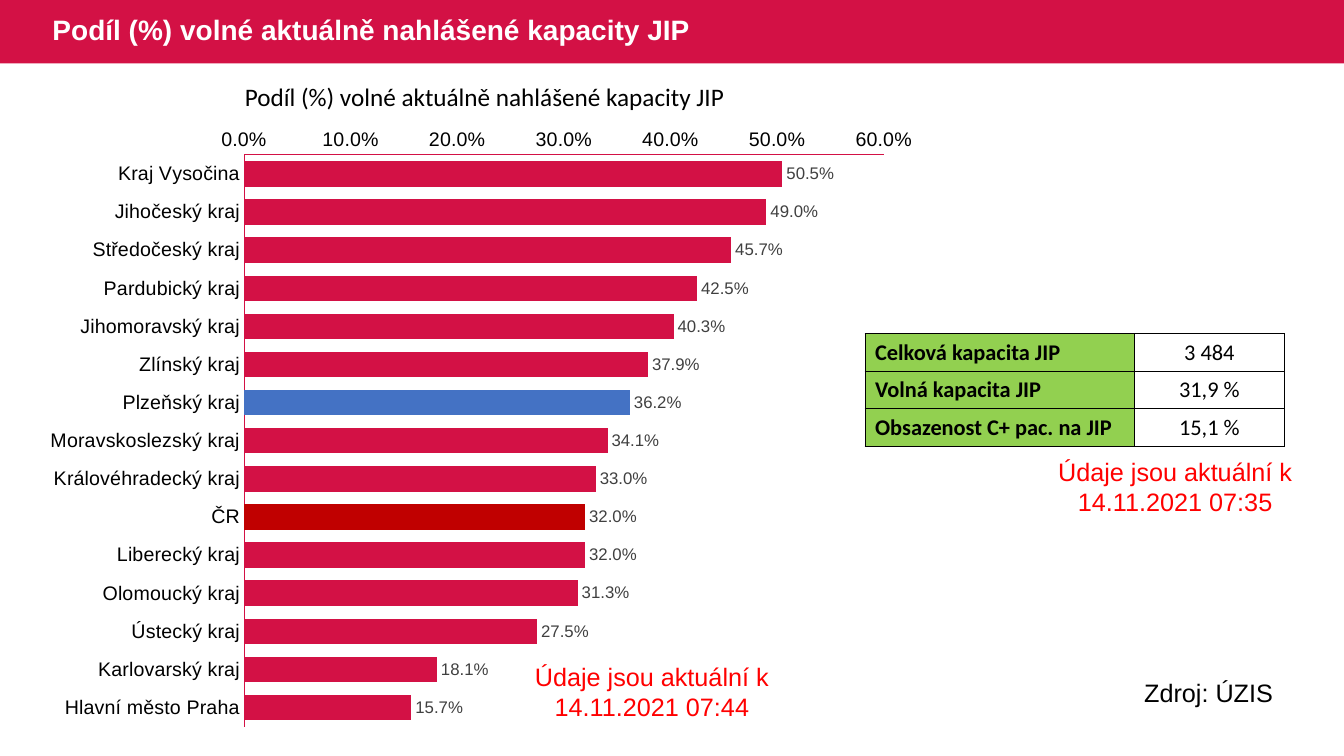
from dataclasses import dataclass

from lxml.etree import SubElement
from pptx import Presentation
from pptx.chart.data import CategoryChartData
from pptx.dml.color import RGBColor
from pptx.enum.chart import XL_CHART_TYPE as ChartType
from pptx.enum.chart import XL_LABEL_POSITION as LabelPosition
from pptx.enum.chart import XL_TICK_MARK as TickMark
from pptx.enum.shapes import MSO_SHAPE as Shape
from pptx.enum.text import MSO_ANCHOR as Anchor
from pptx.enum.text import PP_ALIGN as Align
from pptx.oxml.ns import qn
from pptx.slide import Slide
from pptx.util import Inches, Pt

CRIMSON = RGBColor(0xD3, 0x11, 0x45)
DARK_RED = RGBColor(0xC0, 0x00, 0x00)
BLUE = RGBColor(0x44, 0x72, 0xC4)
GREEN = RGBColor(0x92, 0xD0, 0x50)
RED = RGBColor(0xFF, 0x00, 0x00)
GREY = RGBColor(0x40, 0x40, 0x40)
BLACK = RGBColor(0x00, 0x00, 0x00)
WHITE = RGBColor(0xFF, 0xFF, 0xFF)

HEADING = "Podíl (%) volné aktuálně nahlášené kapacity JIP"


@dataclass
class Region:
    name: str
    share: float
    color: RGBColor = CRIMSON


@dataclass
class Note:
    text: str
    left: float
    top: float
    width: float
    height: float
    color: RGBColor = BLACK
    font: str = "Arial"
    align: Align = Align.LEFT
    wrap: bool = True


@dataclass
class Indicator:
    label: str
    value: str


REGIONS = [
    Region("Kraj Vysočina", 0.505),
    Region("Jihočeský kraj", 0.49),
    Region("Středočeský kraj", 0.457),
    Region("Pardubický kraj", 0.425),
    Region("Jihomoravský kraj", 0.403),
    Region("Zlínský kraj", 0.379),
    Region("Plzeňský kraj", 0.362, BLUE),
    Region("Moravskoslezský kraj", 0.341),
    Region("Královéhradecký kraj", 0.33),
    Region("ČR", 0.32, DARK_RED),
    Region("Liberecký kraj", 0.32),
    Region("Olomoucký kraj", 0.313),
    Region("Ústecký kraj", 0.275),
    Region("Karlovarský kraj", 0.181),
    Region("Hlavní město Praha", 0.157),
]
NOTES = [
    Note("Údaje jsou aktuální k 14.11.2021 07:44", 5.19, 6.51, 2.55, 0.71, RED, align=Align.CENTER),
    Note("Údaje jsou aktuální k 14.11.2021 07:35", 10.38, 4.48, 2.55, 0.71, RED, align=Align.CENTER),
    Note("Zdroj: ÚZIS", 11.25, 6.67, 1.98, 0.4),
    Note(HEADING, 2.33, 0.76, 5.13, 0.4, font="Calibri", wrap=False),
]
INDICATORS = [
    Indicator("Celková kapacita JIP", "3 484"),
    Indicator("Volná kapacita JIP", "31,9 %"),
    Indicator("Obsazenost C+ pac. na JIP", "15,1 %"),
]


def style_font(font, size: float, color: RGBColor, name: str = "Arial", bold: bool = False) -> None:
    font.size = Pt(size)
    font.name = name
    font.bold = bold
    font.color.rgb = color


def add_header(page: Slide) -> None:
    bar = page.shapes.add_shape(Shape.RECTANGLE, 0, 0, Inches(13.33), Inches(0.63))
    bar.shadow.inherit = False
    bar.fill.solid()
    bar.fill.fore_color.rgb = CRIMSON
    bar.line.fill.background()
    title = page.shapes.title
    title.element.addprevious(bar.element)
    title.left, title.top = Inches(0.42), Inches(0)
    title.width, title.height = Inches(11.56), Inches(0.63)
    title.text_frame.vertical_anchor = Anchor.MIDDLE
    para = title.text_frame.paragraphs[0]
    para.alignment = Align.LEFT
    para.line_spacing = 0.9
    span = para.add_run()
    span.text = HEADING
    style_font(span.font, 20, WHITE, bold=True)


def add_note(page: Slide, note: Note) -> None:
    box = page.shapes.add_textbox(
        Inches(note.left), Inches(note.top), Inches(note.width), Inches(note.height))
    box.text_frame.word_wrap = note.wrap
    para = box.text_frame.paragraphs[0]
    para.alignment = note.align
    span = para.add_run()
    span.text = note.text
    style_font(span.font, 18, note.color, note.font)


def add_borders(cell) -> None:
    """Outline the cell; call before setting its fill, which must follow the lines."""
    properties = cell._tc.get_or_add_tcPr()
    for side in ("a:lnL", "a:lnR", "a:lnT", "a:lnB"):
        line = SubElement(properties, qn(side), w=str(Pt(0.75)))
        fill = SubElement(line, qn("a:solidFill"))
        SubElement(fill, qn("a:srgbClr"), val=str(BLACK))


def add_indicators(page: Slide) -> None:
    row_height = Inches(0.37)
    table = page.shapes.add_table(
        len(INDICATORS), 2, Inches(8.58), Inches(3.31),
        Inches(4.16), row_height * len(INDICATORS)).table
    table.first_row = table.horz_banding = False
    table.columns[0].width, table.columns[1].width = Inches(2.67), Inches(1.49)
    for row, indicator in enumerate(INDICATORS):
        table.rows[row].height = row_height
        for column, text in enumerate((indicator.label, indicator.value)):
            is_label = column == 0
            cell = table.cell(row, column)
            add_borders(cell)
            if is_label:
                cell.fill.solid()
                cell.fill.fore_color.rgb = GREEN
            else:
                cell.fill.background()
            cell.vertical_anchor = Anchor.TOP if is_label else Anchor.MIDDLE
            para = cell.text_frame.paragraphs[0]
            para.alignment = Align.LEFT if is_label else Align.CENTER
            span = para.add_run()
            span.text = text
            style_font(span.font, 16, BLACK, "Calibri", is_label)


def fix_plot_area(chart, left: float, top: float, width: float, height: float) -> None:
    """Pin the inner plot area, in fractions of the chart."""
    plot_area = chart.element.find(".//" + qn("c:plotArea"))
    layout = plot_area.find(qn("c:layout"))
    if layout is None:
        layout = SubElement(plot_area, qn("c:layout"))
        plot_area.insert(0, layout)
    manual = SubElement(layout, qn("c:manualLayout"))
    settings = {"layoutTarget": "inner", "xMode": "edge", "yMode": "edge",
                "x": left, "y": top, "w": width, "h": height}
    for name, value in settings.items():
        SubElement(manual, qn(f"c:{name}"), val=str(value))


def add_region_chart(page: Slide) -> None:
    data = CategoryChartData(number_format="0.0%")
    data.categories = [region.name for region in REGIONS]
    data.add_series("Series 1", [region.share for region in REGIONS])
    chart = page.shapes.add_chart(
        ChartType.BAR_CLUSTERED, Inches(0.32), Inches(1.16), Inches(8.9), Inches(6.18), data).chart
    chart.has_legend = chart.has_title = False
    style_font(chart.font, 10, BLACK)
    fix_plot_area(chart, 0.236, 0.061, 0.713, 0.918)

    for axis in (chart.category_axis, chart.value_axis):
        axis.has_major_gridlines = False
        axis.major_tick_mark = axis.minor_tick_mark = TickMark.NONE
        axis.format.line.color.rgb = CRIMSON
        axis.format.line.width = Pt(0.75)
        style_font(axis.tick_labels.font, 14, BLACK)
    chart.category_axis.reverse_order = True
    scale = chart.value_axis
    scale.minimum_scale, scale.maximum_scale, scale.major_unit = 0, 0.6, 0.1
    scale.tick_labels.number_format = "0.0%"
    scale.tick_labels.number_format_is_linked = False

    plot = chart.plots[0]
    plot.gap_width = 50
    plot.vary_by_categories = False
    series = plot.series[0]
    series.format.fill.solid()
    series.format.fill.fore_color.rgb = CRIMSON
    for index, region in enumerate(REGIONS):
        if region.color != CRIMSON:
            fill = series.points[index].format.fill
            fill.solid()
            fill.fore_color.rgb = region.color
    labels = series.data_labels
    labels.show_value = True
    labels.position = LabelPosition.OUTSIDE_END
    labels.number_format = "0.0%"
    labels.number_format_is_linked = False
    style_font(labels.font, 12, GREY)


def main() -> None:
    deck = Presentation()
    deck.slide_width, deck.slide_height = Inches(13.33), Inches(7.5)
    page = deck.slides.add_slide(deck.slide_layouts[5])
    add_header(page)
    add_region_chart(page)
    add_indicators(page)
    for note in NOTES:
        add_note(page, note)
    deck.save("out.pptx")


if __name__ == "__main__":
    main()
